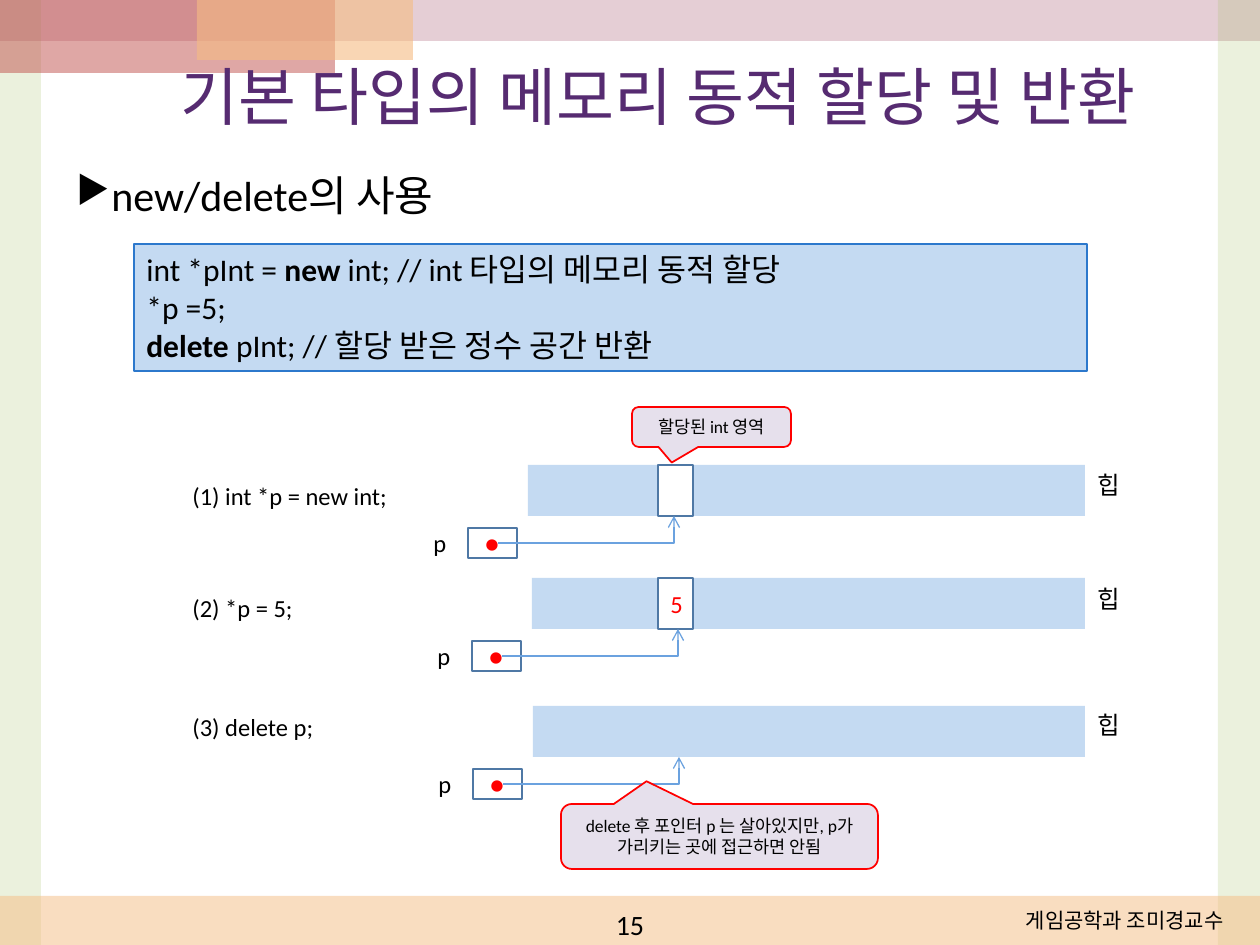
"""Build the slide on dynamic allocation and release of basic types."""
from dataclasses import dataclass
from typing import Optional

from lxml import etree
from pptx import Presentation
from pptx import util as u
from pptx.dml.color import RGBColor
from pptx.enum import shapes, text
from pptx.oxml.ns import qn

PX = u.Inches(1) / 126
FONT = "Calibri"
BLACK = RGBColor(0x00, 0x00, 0x00)
WHITE = RGBColor(0xFF, 0xFF, 0xFF)
RED = RGBColor(0xFF, 0x00, 0x00)
PURPLE = RGBColor(0x56, 0x2B, 0x71)
MAUVE = RGBColor(0xCC, 0x9E, 0xAC)
GREEN = RGBColor(0x9B, 0xBB, 0x59)
BRICK = RGBColor(0xC0, 0x50, 0x4D)
PEACH = RGBColor(0xF5, 0xBC, 0x83)
HEAP_BLUE = RGBColor(0xC4, 0xDA, 0xF2)
CODE_BORDER = RGBColor(0x2C, 0x78, 0xCC)
CELL_BORDER = RGBColor(0x4F, 0x78, 0xA5)
ARROW_BLUE = RGBColor(0x6B, 0xA2, 0xDF)
LAVENDER = RGBColor(0xE6, 0xE0, 0xEC)
LEFT, CENTER, RIGHT = text.PP_ALIGN.LEFT, text.PP_ALIGN.CENTER, text.PP_ALIGN.RIGHT
TOP, MIDDLE = text.MSO_ANCHOR.TOP, text.MSO_ANCHOR.MIDDLE
RECTANGLE = shapes.MSO_SHAPE.RECTANGLE
CALLOUT = shapes.MSO_SHAPE.ROUNDED_RECTANGULAR_CALLOUT


@dataclass(frozen=True)
class Box:
    left: int
    top: int
    width: int
    height: int

    def emu(self) -> tuple:
        return tuple(px(value) for value in (self.left, self.top, self.width, self.height))


@dataclass(frozen=True)
class Band:
    box: Box
    color: RGBColor
    opacity: int


@dataclass(frozen=True)
class Step:
    command: str
    command_top: int
    bar_top: int
    label_top: int
    shift: int
    cell: Optional[str]


@dataclass(frozen=True)
class Callout:
    box: Box
    message: str
    tip: tuple


BANDS = (
    Band(Box(0, 0, 1260, 41), MAUVE, 50),
    Band(Box(0, 0, 41, 945), GREEN, 20),
    Band(Box(0, 0, 335, 73), BRICK, 50),
    Band(Box(197, 0, 216, 60), PEACH, 60),
    Band(Box(1218, 0, 42, 945), GREEN, 20),
    Band(Box(0, 896, 1260, 49), PEACH, 50),
)
STEPS = (
    Step("(1) int *p = new int;", 475, 465, 464, 0, ""),
    Step("(2) *p = 5;", 587, 578, 578, 4, "5"),
    Step("(3) delete p;", 706, 706, 704, 5, None),
)
CALLOUTS = (
    Callout(Box(561, 804, 317, 65),
            "delete 후 포인터 p 는 살아있지만, p가 가리키는 곳에 접근하면 안됨", (-0.23, -0.85)),
    Callout(Box(632, 407, 159, 40), "할당된 int 영역", (-0.25, 0.89)),
)
CODE = """int *pInt = |new |int; // int 타입의 메모리 동적 할당
*p =5;
|delete |pInt; // 할당 받은 정수 공간 반환"""


def px(value: int) -> int:
    return u.Emu(round(value * PX))


def write(shape, content: str, *, size=14, color=BLACK, align=LEFT, anchor=TOP,
          wrap=True, bullet="", indent=0) -> None:
    """Fill a shape with lines of text, with bold parts between bars."""
    frame = shape.text_frame
    frame.word_wrap = wrap
    frame.vertical_anchor = anchor
    for index, line in enumerate(content.split("\n")):
        paragraph = frame.add_paragraph() if index else frame.paragraphs[0]
        paragraph.alignment = align
        if bullet:
            properties = paragraph._p.get_or_add_pPr()
            properties.set("marL", str(px(indent)))
            properties.set("indent", str(-px(indent)))
            etree.SubElement(properties, qn("a:buSzPct"), val="90000")
            etree.SubElement(properties, qn("a:buChar"), char=bullet)
        for position, part in enumerate(line.split("|")):
            if part:
                run = paragraph.add_run()
                run.text = part
                run.font.name = FONT
                run.font.size = u.Pt(size)
                run.font.bold = position % 2 == 1
                run.font.color.rgb = color


def add_label(slide, box: Box, content: str, **formatting) -> None:
    write(slide.shapes.add_textbox(*box.emu()), content, **formatting)


def add_block(slide, box: Box, fill: RGBColor, line: Optional[RGBColor] = None,
              width: float = 1, kind=RECTANGLE):
    shape = slide.shapes.add_shape(kind, *box.emu())
    shape.shadow.inherit = False
    shape.fill.solid()
    shape.fill.fore_color.rgb = fill
    if line is None:
        shape.line.fill.background()
    else:
        shape.line.color.rgb = line
        shape.line.width = u.Pt(width)
    return shape


def add_band(slide, band: Band) -> None:
    shape = add_block(slide, band.box, band.color)
    color = shape._element.spPr.find(".//" + qn("a:srgbClr"))
    etree.SubElement(color, qn("a:alpha"), val=str(band.opacity * 1000))


def add_pointer_arrow(slide, start: tuple, end: tuple) -> None:
    """Draw an elbow that runs level and then turns up to its arrowhead."""
    connector = slide.shapes.add_connector(
        shapes.MSO_CONNECTOR.ELBOW, *(px(value) for value in start + end))
    connector.line.color.rgb = ARROW_BLUE
    connector.line.width = u.Pt(0.75)
    properties = connector._element.spPr
    guides = properties.find(qn("a:prstGeom")).get_or_add_avLst()
    etree.SubElement(guides, qn("a:gd"), name="adj1", fmla="val 100000")
    etree.SubElement(connector.line._get_or_add_ln(), qn("a:tailEnd"), type="arrow")
    etree.SubElement(properties, qn("a:effectLst"))


def add_step(slide, step: Step) -> None:
    top, shift = step.bar_top, step.shift
    add_label(slide, Box(180, step.command_top, 266, 43), step.command)
    add_label(slide, Box(421 + shift, top + 57, 40, 43), "p", wrap=False)
    add_block(slide, Box(468 + shift, top + 63, 49, 30), WHITE, CELL_BORDER)
    add_block(slide, Box(528 + shift, top, 557 - shift, 51), HEAP_BLUE)
    if step.cell is not None:
        cell = add_block(slide, Box(658, top, 35, 51), WHITE, CELL_BORDER, 1.5)
        write(cell, step.cell, color=RED, align=CENTER, anchor=MIDDLE)
    add_label(slide, Box(1085, step.label_top, 50, 43), "힙", wrap=False)
    add_pointer_arrow(slide, (498 + shift, top + 78), (674 + shift, top + 51))
    add_label(slide, Box(470 + shift, top + 57, 44, 43), "●",
              color=RED, align=CENTER, wrap=False)


def add_callout(slide, callout: Callout) -> None:
    shape = add_block(slide, callout.box, LAVENDER, RED, kind=CALLOUT)
    shape.adjustments[0], shape.adjustments[1] = callout.tip
    write(shape, callout.message, size=10, align=CENTER, anchor=MIDDLE)


def main() -> None:
    presentation = Presentation()
    presentation.slide_width, presentation.slide_height = px(1260), px(945)
    slide = presentation.slides.add_slide(presentation.slide_layouts[5])
    for band in BANDS:
        add_band(slide, band)
    title = slide.shapes.title
    title.left, title.top, title.width, title.height = Box(91, 40, 1134, 111).emu()
    write(title, "기본 타입의 메모리 동적 할당 및 반환", size=36, color=PURPLE,
          align=CENTER, anchor=MIDDLE)
    slide.shapes._spTree.append(title._element)
    add_label(slide, Box(64, 163, 1134, 70), "new/delete의 사용", size=24,
              bullet="▶", indent=27)
    code = add_block(slide, Box(134, 244, 953, 127), HEAP_BLUE, CODE_BORDER, 0.75)
    write(code, CODE, size=18)
    for step in STEPS:
        add_step(slide, step)
    for callout in CALLOUTS:
        add_callout(slide, callout)
    add_label(slide, Box(837, 901, 399, 34), "게임공학과 조미경교수", size=12, align=RIGHT)
    add_label(slide, Box(483, 901, 294, 34), "15", size=16, align=CENTER)
    presentation.save("out.pptx")


if __name__ == "__main__":
    main()
